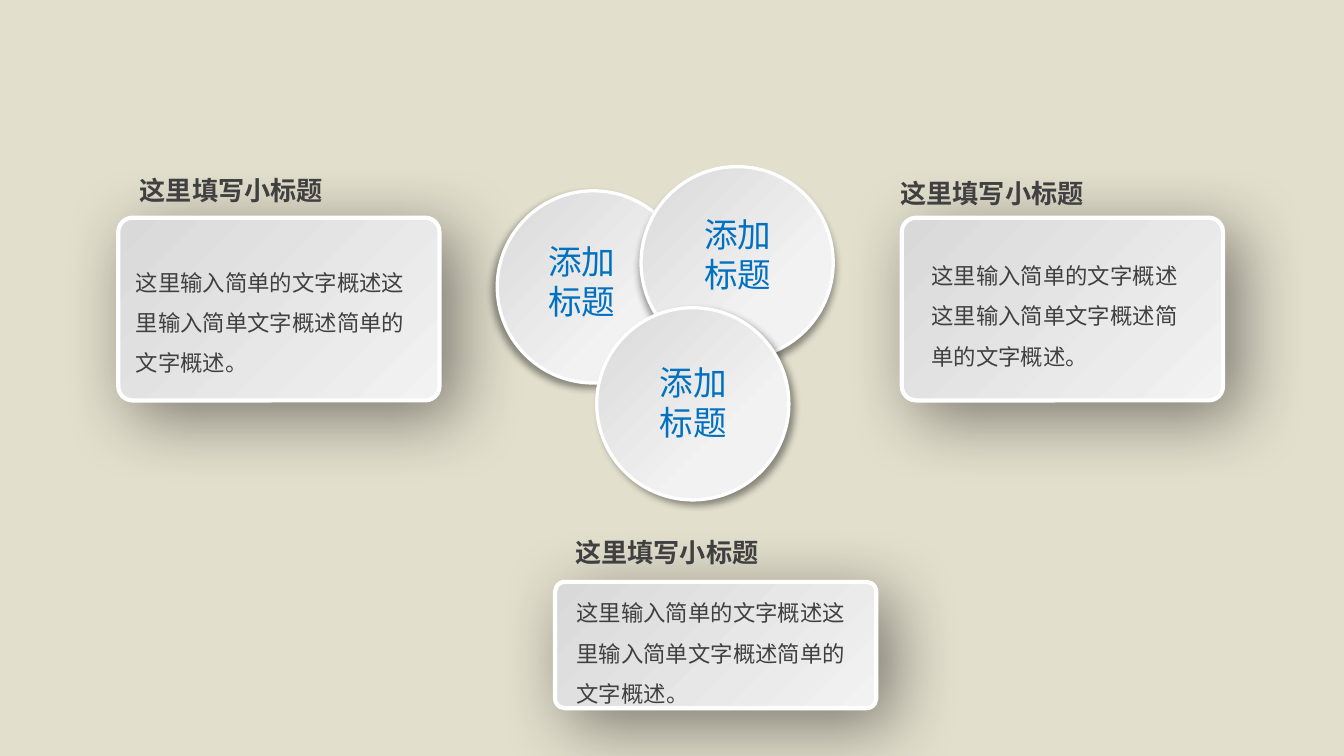
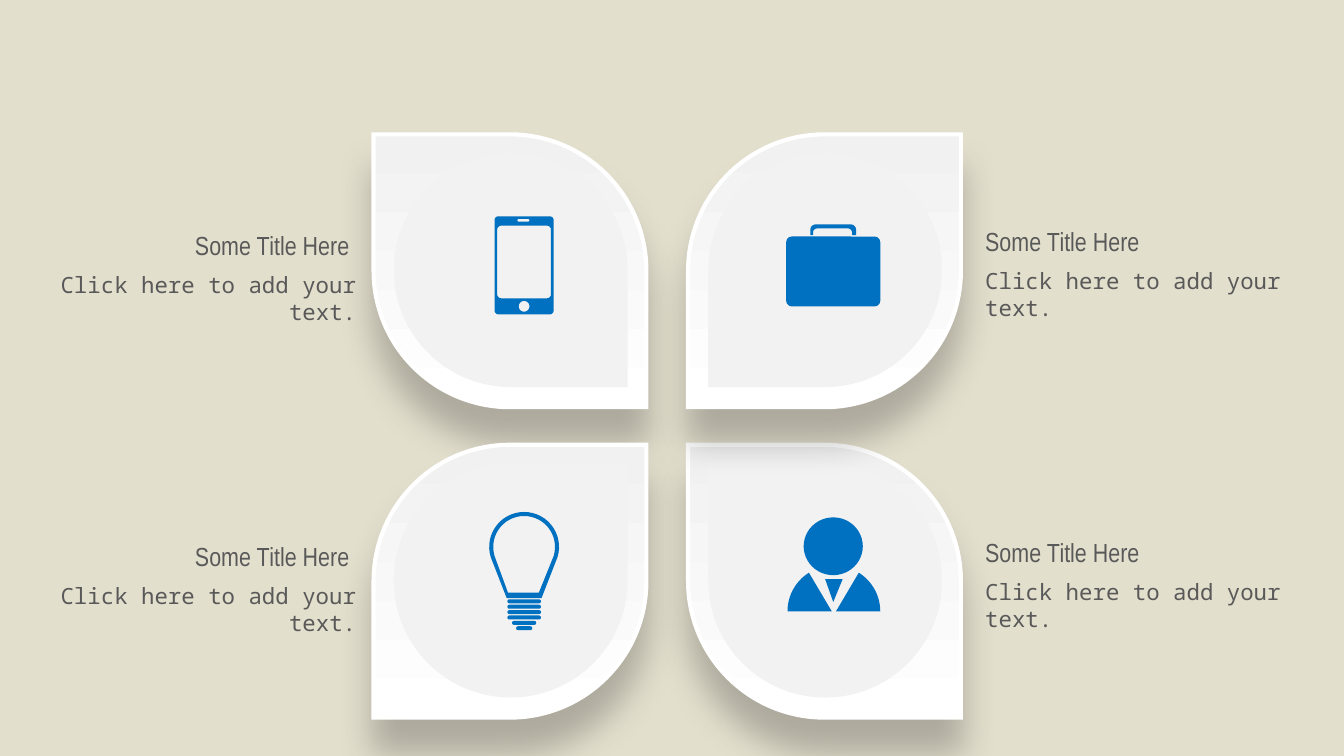
import math

import pptx
import pptx.dml.color
import pptx.enum.shapes
import pptx.enum.text
import pptx.oxml
import pptx.oxml.ns
import pptx.util
from lxml import etree

RGBColor = pptx.dml.color.RGBColor
Inches = pptx.util.Inches
Pt = pptx.util.Pt
SHAPE = pptx.enum.shapes.MSO_SHAPE
ALIGN = pptx.enum.text.PP_ALIGN
qn = pptx.oxml.ns.qn

SAND = RGBColor(0xE3, 0xDF, 0xCD)
WHITE = RGBColor(0xFF, 0xFF, 0xFF)
SILVER = RGBColor(0xD9, 0xD9, 0xD9)
PALE = RGBColor(0xF2, 0xF2, 0xF2)
PETAL_TOP = RGBColor(0xF1, 0xF1, 0xF1)
BLUE = RGBColor(0x00, 0x70, 0xC0)
DARK = RGBColor(0x40, 0x40, 0x40)
GREY = RGBColor(0x59, 0x59, 0x59)
BLACK = RGBColor(0x00, 0x00, 0x00)
SOOT = RGBColor(0x26, 0x26, 0x26)

CJK = "Noto Sans CJK SC"
LATIN = "Calibri"
NARROW = "Arial Narrow"
MONO = "Noto Sans Mono"

BODY = "这里输入简单的文字概述这里输入简单文字概述简单的文字概述"


def arc(x, y, radius, start, end):
    """Points on a circle; angles in degrees, clockwise from the right."""
    steps = 30
    angles = [math.radians(start + (end - start) * i / steps) for i in range(steps + 1)]
    return [(x + radius * math.cos(a), y + radius * math.sin(a)) for a in angles]


def rounded(x, y, width, height, radius):
    """Outline of a rectangle with round corners."""
    left, right = x + radius, x + width - radius
    top, bottom = y + radius, y + height - radius
    return (arc(left, top, radius, 180, 270) + arc(right, top, radius, 270, 360)
            + arc(right, bottom, radius, 0, 90) + arc(left, bottom, radius, 90, 180))


class Deck:
    def __init__(self):
        self.presentation = pptx.Presentation()
        self.presentation.slide_width = Inches(10)
        self.presentation.slide_height = Inches(10) * 9 // 16

    def add_slide(self):
        self.slide = self.presentation.slides.add_slide(self.presentation.slide_layouts[6])
        self.slide.background.fill.solid()
        self.slide.background.fill.fore_color.rgb = SAND
        self.shapes = self.slide.shapes

    def start_group(self):
        self.shapes = self.slide.shapes.add_group_shape().shapes

    def end_group(self):
        self.shapes = self.slide.shapes

    def shape(self, kind, x, y, width, height, fill=None, adjustments=()):
        shape = self.shapes.add_shape(
            kind, Inches(x), Inches(y), Inches(width), Inches(height))
        for index, value in enumerate(adjustments):
            shape.adjustments[index] = value
        return self.paint(shape, fill)

    def outline(self, *contours):
        """Blue freeform; inner contours cut holes."""
        scaled = [[(Inches(x), Inches(y)) for x, y in contour] for contour in contours]
        builder = self.shapes.build_freeform(*scaled[0][0], scale=1.0)
        builder.add_line_segments(scaled[0][1:], close=True)
        for contour in scaled[1:]:
            builder.move_to(*contour[0])
            builder.add_line_segments(contour[1:], close=True)
        return self.paint(builder.convert_to_shape(), BLUE)

    def paint(self, shape, fill):
        shape.shadow.inherit = False
        shape.line.fill.background()
        if fill is not None:
            shape.fill.solid()
            shape.fill.fore_color.rgb = fill
        return shape

    def edge(self, shape, width):
        shape.line.color.rgb = WHITE
        shape.line.width = Pt(width)
        line = shape._element.spPr.find(qn("a:ln"))
        etree.SubElement(line, qn("a:miter"), lim="800000")

    def gradient(self, shape, stops, angle=None):
        """Linear gradient, or a radial one from the lower right corner."""
        shape.fill.gradient()
        for stop, (position, color) in zip(shape.fill.gradient_stops, stops):
            stop.position = position
            stop.color.rgb = color
        if angle is not None:
            shape.fill.gradient_angle = (360 - angle) % 360
            return
        gradient = shape._element.spPr.find(qn("a:gradFill"))
        linear = gradient.find(qn("a:lin"))
        radial = etree.Element(qn("a:path"), path="circle")
        etree.SubElement(radial, qn("a:fillToRect"), l="100000", t="100000")
        gradient.replace(linear, radial)

    def shadow(self, shape, color, alpha, blur, distance, direction):
        effects = shape._element.spPr.find(qn("a:effectLst"))
        outer = etree.SubElement(
            effects, qn("a:outerShdw"), blurRad=str(Pt(blur)), dist=str(Pt(distance)),
            dir=str(direction * 60000), algn="ctr", rotWithShape="0")
        tint = etree.SubElement(outer, qn("a:srgbClr"), val=str(color))
        etree.SubElement(tint, qn("a:alpha"), val=str(alpha * 1000))

    def text(self, x, y, width, height, paragraphs, size, color, bold=None, align=None,
             spacing=None, wrap=True, insets=(0.1, 0.05)):
        """Each paragraph is a list of (text, font) runs."""
        box = self.shapes.add_textbox(Inches(x), Inches(y), Inches(width), Inches(height))
        frame = box.text_frame
        frame.word_wrap = wrap
        frame.auto_size = pptx.enum.text.MSO_AUTO_SIZE.SHAPE_TO_FIT_TEXT
        frame.margin_left = frame.margin_right = Inches(insets[0])
        frame.margin_top = frame.margin_bottom = Inches(insets[1])
        for index, runs in enumerate(paragraphs):
            paragraph = frame.add_paragraph() if index else frame.paragraphs[0]
            paragraph.alignment = align
            paragraph.line_spacing = spacing
            for words, name in runs:
                run = paragraph.add_run()
                run.text = words
                run.font.size = Pt(size)
                run.font.bold = bold
                run.font.color.rgb = color
                run.font.name = name
                if name in (CJK, LATIN):
                    etree.SubElement(run._r.get_or_add_rPr(), qn("a:ea"), typeface=CJK)

    # Elements of the circles slide
    def card(self, x, y, height):
        card = self.shape(SHAPE.ROUNDED_RECTANGLE, x, y, 2.39, height, adjustments=[0.078])
        self.gradient(card, [(0, SILVER), (1, PALE)], 45)
        self.edge(card, 2.25)
        self.shadow(card, BLACK, 45, 38, 11, 45)

    def disc(self, x, y, label_x, label_y, direction):
        self.start_group()
        disc = self.shape(SHAPE.OVAL, x, y, 1.43, 1.43)
        self.gradient(disc, [(0.31, PALE), (1, SILVER)])
        self.edge(disc, 1.75)
        self.shadow(disc, BLACK, 40, 4, 3, direction)
        self.text(label_x, label_y, 0.71, 0.71, [[("添加", CJK)], [("标题", CJK)]],
                  18, BLUE, wrap=False)
        self.end_group()

    def card_heading(self, x, y, width):
        self.text(x, y, width, 0.36, [[("这里填写小标题", CJK)]], 14, DARK, bold=True,
                  align=ALIGN.JUSTIFY, spacing=Pt(16), insets=(0.13, 0.07))

    def card_body(self, x, y, width):
        self.text(x, y, width, 1.04, [[(BODY, LATIN), ("。", CJK)]], 12, DARK,
                  spacing=1.5, insets=(0.13, 0.07))

    # Elements of the petals slide
    def petal(self, x, y, round_corners, rotation, icon):
        self.start_group()
        petal = self.shape(SHAPE.ROUND_2_DIAG_RECTANGLE, x, y, 2.03, 2.03,
                           adjustments=round_corners)
        self.gradient(petal, [(0, PETAL_TOP), (1, WHITE)], 90)
        self.edge(petal, 2.25)
        self.shadow(petal, SOOT, 28, 18, 18, 90)
        inner = self.shape(SHAPE.TEAR, x + 0.15, y + 0.14, 1.74, 1.74, PALE, [1])
        inner.rotation = rotation
        icon(self)
        self.end_group()

    def caption(self, title_x, text_x, y, align):
        self.start_group()
        self.text(title_x, y, 1.41, 0.31, [[("Some Title Here", NARROW)]], 14, GREY,
                  align=align, wrap=False, insets=(0.07, 0.04))
        self.text(text_x, y + 0.31, 2.69, 0.28, [[("Click here to add your text.", MONO)]],
                  12, GREY, align=align, insets=(0.07, 0.04))
        self.end_group()


def phone(deck):
    deck.outline(rounded(3.68, 1.61, 0.44, 0.73, 0.03),
                 rounded(3.85, 1.63, 0.09, 0.02, 0.01),
                 rounded(3.7, 1.68, 0.4, 0.54, 0.03),
                 arc(3.9, 2.28, 0.04, 0, 360))


def person(deck):
    deck.outline(arc(6.2, 4.55, 0.34, 180, 238) + [(6.19, 4.55)])
    deck.outline(arc(6.21, 4.55, 0.34, 302, 360) + [(6.22, 4.55)])
    deck.shape(SHAPE.OVAL, 5.98, 3.85, 0.44, 0.43, BLUE)
    deck.outline([(6.14, 4.31), (6.2, 4.48), (6.27, 4.31)])


def briefcase(deck):
    deck.shape(SHAPE.ROUNDED_RECTANGLE, 5.85, 1.76, 0.7, 0.52, BLUE, [0.08])
    deck.outline([(6.03, 1.75)] + arc(6.07, 1.71, 0.04, 180, 270)
                 + arc(6.33, 1.71, 0.04, 270, 360) + [(6.37, 1.75), (6.34, 1.75)]
                 + arc(6.31, 1.73, 0.03, 360, 270) + arc(6.08, 1.73, 0.03, 270, 180)
                 + [(6.05, 1.75)])


def bulb(deck):
    deck.outline(arc(3.9, 4.07, 0.26, 163, 377) + [(4.03, 4.45), (3.77, 4.45)],
                 arc(3.9, 4.07, 0.23, 163, 377) + [(4.01, 4.41), (3.78, 4.41)])
    for row, width in enumerate([0.25, 0.25, 0.25, 0.25, 0.18, 0.12]):
        deck.shape(SHAPE.ROUNDED_RECTANGLE, 3.9 - width / 2, 4.46 + 0.04 * row,
                   width, 0.03, BLUE, [0.5])


def build_circles(deck):
    deck.add_slide()
    # Cards
    for x, y, height in [(4.13, 4.33, 0.94), (6.71, 1.62, 1.36), (0.88, 1.62, 1.36)]:
        deck.card(x, y, height)
    # Overlapping discs
    deck.disc(3.7, 1.42, 3.98, 1.74, 135)
    deck.disc(4.77, 1.24, 5.14, 1.54, 90)
    deck.disc(4.44, 2.29, 4.81, 2.64, 45)
    # Headings and body text
    for x, y, width in [(6.57, 1.26, 2.05), (4.15, 3.93, 1.95), (0.91, 1.24, 2.05)]:
        deck.card_heading(x, y, width)
    for x, y, width in [(6.8, 1.78, 2.23), (4.16, 4.29, 2.36), (0.88, 1.83, 2.36)]:
        deck.card_body(x, y, width)


def build_petals(deck):
    deck.add_slide()
    left, right, top, bottom = 2.78, 5.12, 1, 3.31
    falling, rising = (0, 0.5), (0.5, 0)
    # Petals, each pointing to the centre
    deck.petal(left, top, falling, 90, phone)
    deck.petal(right, bottom, falling, 270, person)
    deck.petal(right, top, rising, 180, briefcase)
    deck.petal(left, bottom, rising, 0, bulb)
    # Captions
    for y in (1.64, 3.95):
        deck.caption(7.26, 7.26, y, ALIGN.LEFT)
        deck.caption(1.26, 0.03, y + 0.03, ALIGN.RIGHT)


def main():
    deck = Deck()
    build_circles(deck)
    build_petals(deck)
    deck.presentation.save("out.pptx")


if __name__ == "__main__":
    main()
